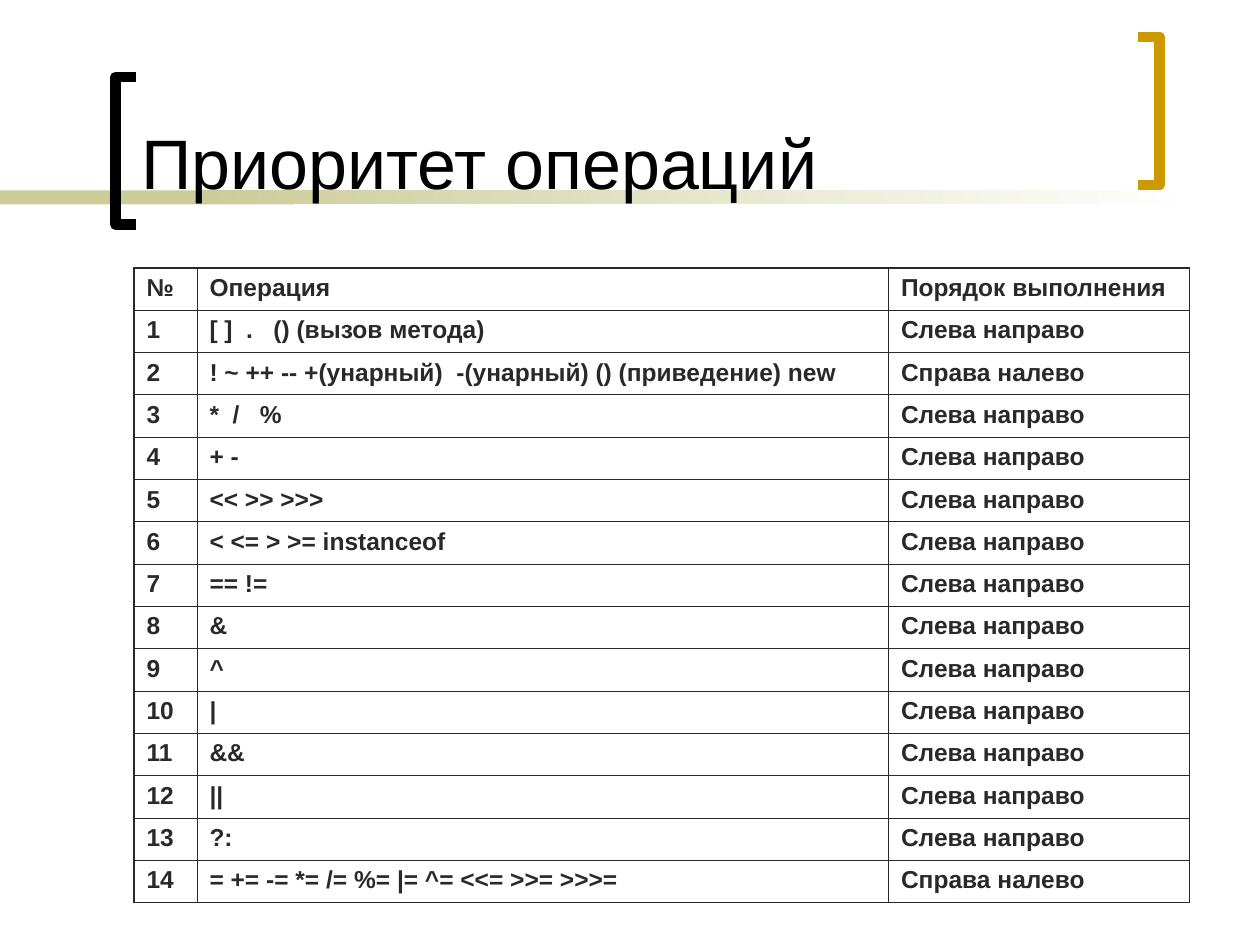
from dataclasses import dataclass

from lxml.etree import SubElement
from pptx import Presentation
from pptx.dml.color import RGBColor as Color
from pptx.enum.shapes import MSO_SHAPE as Preset
from pptx.enum.text import MSO_ANCHOR as Anchor, MSO_AUTO_SIZE as AutoSize, PP_ALIGN as Align
from pptx.oxml.ns import qn
from pptx.util import Cm, Pt


@dataclass(frozen=True)
class Theme:
    font: str = "Arial"
    title_color: str = "000000"
    table_color: str = "292929"
    band_color: str = "CCCC99"
    background: str = "FFFFFF"
    accent: str = "CC9900"
    title_size: float = 40
    table_size: float = 14
    space_before: float = 3.5
    bracket_width: float = 6
    outer_border: float = 1.08
    inner_border: float = 0.45


class SlideBuilder:
    def __init__(self, slide, theme):
        self.slide = slide
        self.theme = theme

    def format_runs(self, paragraph, size, color, bold=False):
        for run in paragraph.runs:
            run.font.name = self.theme.font
            run.font.size = Pt(size)
            run.font.bold = bold
            run.font.color.rgb = Color.from_string(color)

    def title(self, text, left, top, width, height):
        title = self.slide.shapes.title
        title.left, title.top, title.width, title.height = Cm(left), Cm(top), Cm(width), Cm(height)
        text_frame = title.text_frame
        text_frame.text = text
        text_frame.word_wrap = True
        text_frame.auto_size = AutoSize.NONE
        text_frame.vertical_anchor = Anchor.BOTTOM
        paragraph = text_frame.paragraphs[0]
        paragraph.alignment = Align.LEFT
        self.format_runs(paragraph, self.theme.title_size, self.theme.title_color)
        self.slide.shapes.element.append(title.element)

    def band(self, left, top, width, height, end_color=None):
        shape = self.slide.shapes.add_shape(
            Preset.RECTANGLE, Cm(left), Cm(top), Cm(width), Cm(height))
        shape.shadow.inherit = False
        shape.line.fill.background()
        if end_color:
            shape.fill.gradient()
            shape.fill.gradient_angle = 0
            colors = (self.theme.band_color, end_color)
            for position, (stop, color) in enumerate(zip(shape.fill.gradient_stops, colors)):
                stop.position = position
                stop.color.rgb = Color.from_string(color)
        else:
            shape.fill.solid()
            shape.fill.fore_color.rgb = Color.from_string(self.theme.band_color)

    def bracket(self, tip, spine, top, height, color):
        bottom = top + height
        builder = self.slide.shapes.build_freeform(Cm(tip), Cm(top))
        corners = [(spine, top), (spine, bottom), (tip, bottom)]
        builder.add_line_segments([(Cm(x), Cm(y)) for x, y in corners], close=False)
        shape = builder.convert_to_shape()
        shape.shadow.inherit = False
        shape.fill.background()
        shape.line.width = Pt(self.theme.bracket_width)
        shape.line.color.rgb = Color.from_string(color)

    def border(self, cell, side, width):
        properties = cell._tc.get_or_add_tcPr()
        line = SubElement(properties, qn(f"a:ln{side}"), w=str(Pt(width)))
        fill = SubElement(line, qn("a:solidFill"))
        SubElement(fill, qn("a:srgbClr"), val=self.theme.table_color)

    def table(self, rows, left, top, column_widths, height):
        theme = self.theme
        table = self.slide.shapes.add_table(
            len(rows), len(column_widths), Cm(left), Cm(top),
            Cm(sum(column_widths)), Cm(height)).table
        table.first_row = table.horz_banding = False
        for column, width in zip(table.columns, column_widths):
            column.width = Cm(width)
        last_row, last_column = len(rows) - 1, len(column_widths) - 1
        for row_index, row in enumerate(rows):
            for column_index, text in enumerate(row):
                cell = table.cell(row_index, column_index)
                outer_sides = {
                    "L": column_index == 0,
                    "R": column_index == last_column,
                    "T": row_index == 0,
                    "B": row_index == last_row,
                }
                for side, is_outer in outer_sides.items():
                    self.border(cell, side, theme.outer_border if is_outer else theme.inner_border)
                cell.fill.background()
                cell.text_frame.text = text
                paragraph = cell.text_frame.paragraphs[0]
                paragraph.space_before = Pt(theme.space_before)
                self.format_runs(paragraph, theme.table_size, theme.table_color, bold=True)


LEFT_TO_RIGHT = "Слева направо"
RIGHT_TO_LEFT = "Справа налево"
HEADER = ("№", "Операция", "Порядок выполнения")
OPERATIONS = [
    "[ ]  .   () (вызов метода)",
    "! ~ ++ -- +(унарный)  -(унарный) () (приведение) new",
    "*  /   %",
    "+ -",
    "<< >> >>>",
    "< <= > >= instanceof",
    "== !=",
    "&",
    "^",
    "|",
    "&&",
    "||",
    "?:",
    "= += -= *= /= %= |= ^= <<= >>= >>>=",
]
RIGHT_TO_LEFT_LEVELS = {2, 14}

rows = [HEADER] + [
    (str(level), operation, RIGHT_TO_LEFT if level in RIGHT_TO_LEFT_LEVELS else LEFT_TO_RIGHT)
    for level, operation in enumerate(OPERATIONS, start=1)
]

presentation = Presentation()
presentation.slide_width, presentation.slide_height = Cm(25.4), Cm(19.05)
theme = Theme()
builder = SlideBuilder(presentation.slides.add_slide(presentation.slide_layouts[5]), theme)

builder.band(0, 3.84, 5.92, 0.28)
builder.band(4.01, 3.84, 20.12, 0.28, end_color=theme.background)
builder.bracket(tip=2.75, spine=2.33, top=1.55, height=2.98, color=theme.title_color)
builder.bracket(tip=22.95, spine=23.38, top=0.75, height=2.98, color=theme.accent)
builder.title("Приоритет операций", 2.59, 0.28, 19.89, 3.94)
builder.table(rows, 2.7, 5.4, column_widths=(1.27, 13.94, 6.07), height=12.8)

presentation.save("out.pptx")
